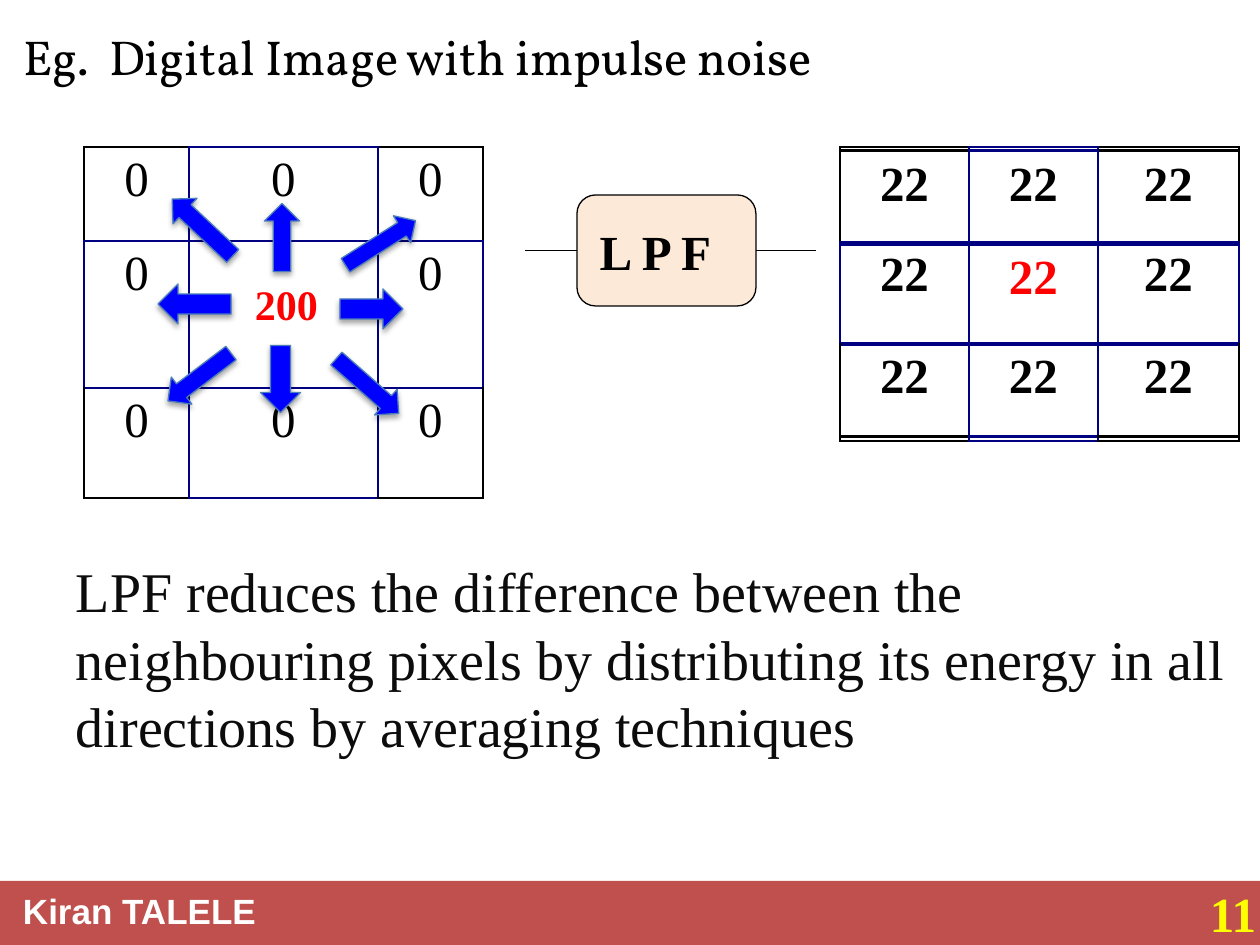
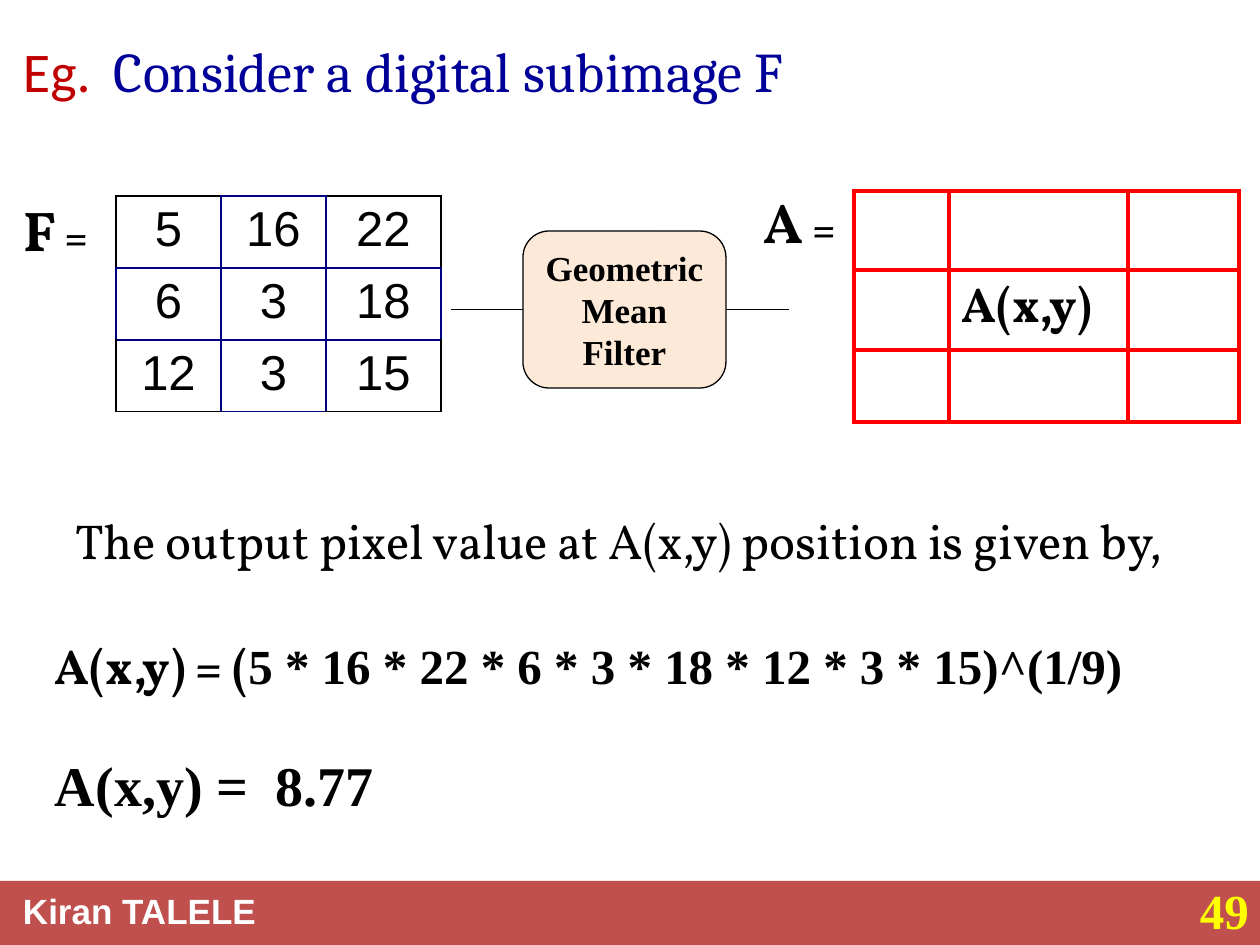
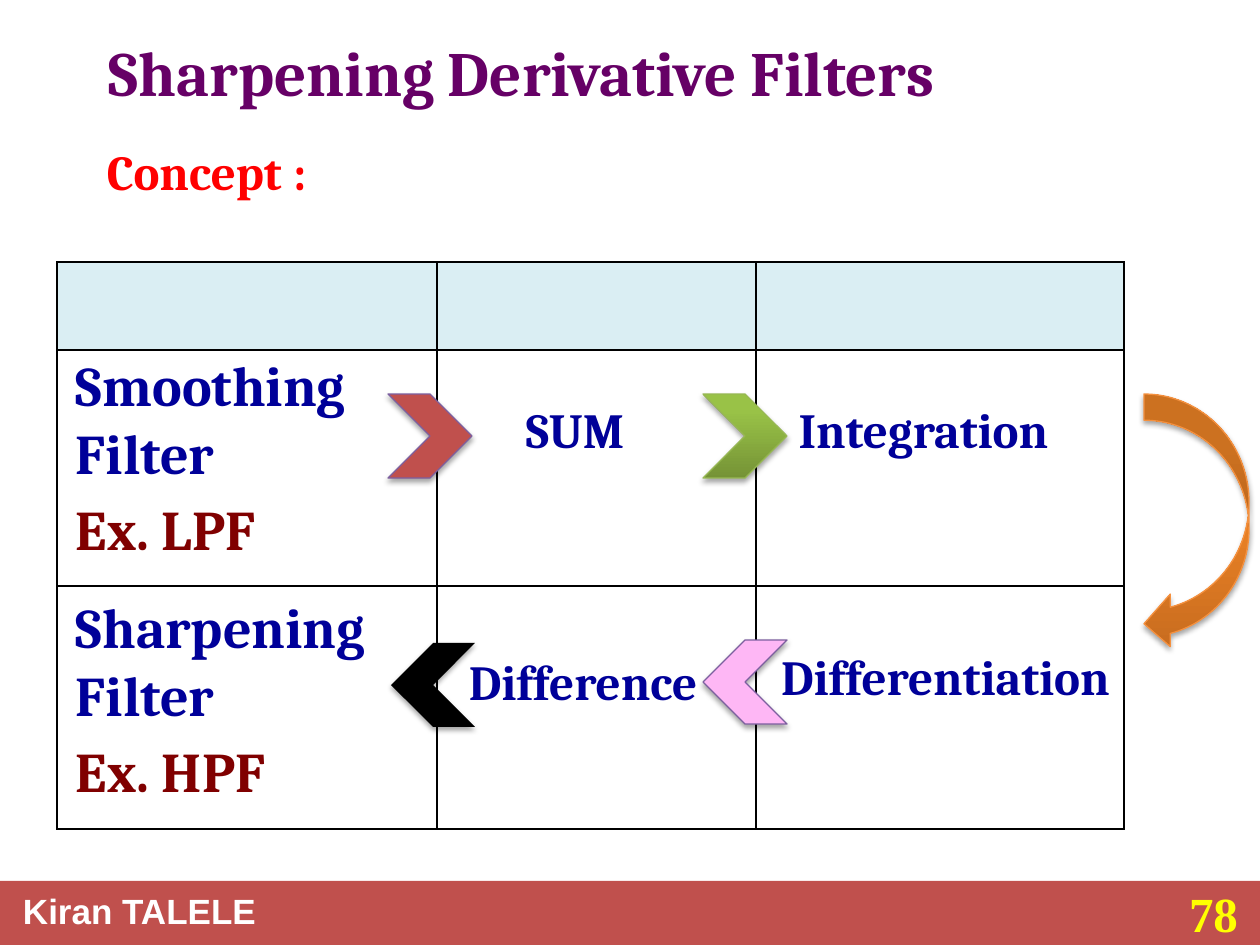
from lxml import etree
from pptx import Presentation
from pptx.dml.color import RGBColor
from pptx.enum.shapes import MSO_CONNECTOR, MSO_SHAPE as Preset
from pptx.enum.text import MSO_ANCHOR as Anchor, PP_ALIGN as Align
from pptx.oxml.ns import qn
from pptx.util import Emu, Pt

EMU_PER_PX = 914400 / 126
PAGE_WIDTH, PAGE_HEIGHT = 1260, 945

BLACK = RGBColor(0x00, 0x00, 0x00)
WHITE = RGBColor(0xFF, 0xFF, 0xFF)
INK = RGBColor(0x0C, 0x0C, 0x0C)
BRICK = RGBColor(0xC0, 0x50, 0x4D)
YELLOW = RGBColor(0xFF, 0xFF, 0x00)
RED = RGBColor(0xFF, 0x00, 0x00)
DARK_RED = RGBColor(0xC0, 0x00, 0x00)
MAROON = RGBColor(0x80, 0x00, 0x00)
NAVY = RGBColor(0x00, 0x00, 0x80)
BLUE = RGBColor(0x00, 0x00, 0xFF)
TEXT_BLUE = RGBColor(0x00, 0x00, 0x99)
PURPLE = RGBColor(0x66, 0x00, 0x66)
PEACH = RGBColor(0xFD, 0xE9, 0xD8)
PALE_BLUE = RGBColor(0xDA, 0xEE, 0xF3)
PINK = RGBColor(0xFE, 0xB7, 0xF5)
ARROW_EDGE = RGBColor(0x4A, 0x7D, 0xBA)
CHEVRON_EDGE = RGBColor(0x7C, 0x5F, 0x9F)
GREEN_EDGE = RGBColor(0x97, 0xB8, 0x53)
GREENS = (RGBColor(0x75, 0x93, 0x36), RGBColor(0x99, 0xC2, 0x47))
ORANGE_EDGE = RGBColor(0xF5, 0x91, 0x3F)
ORANGES = (RGBColor(0xC8, 0x6C, 0x1F), RGBColor(0xFF, 0x8E, 0x29))

TIMES, ARIAL, CAMBRIA = "Times New Roman", "Arial", "Cambria"
CALIBRI, VOLLKORN = "Calibri", "Vollkorn"
INSETS = (13, 6, 13, 6)


def px(length):
    return Emu(round(length * EMU_PER_PX))


def place(box):
    return [px(length) for length in box]


def shift(box, origin):
    """Move a box given relative to origin onto the page."""
    return (origin[0] + box[0], origin[1] + box[1], *box[2:])


def face(name, size, color, bold=False):
    return {"name": name, "size": Pt(size), "color": color, "bold": bold}


def style(font, values):
    for key, value in values.items():
        if key == "color":
            font.color.rgb = value
        else:
            setattr(font, key, value)


def add_tab(para, stop):
    tabs = etree.SubElement(para._p.get_or_add_pPr(), qn("a:tabLst"))
    etree.SubElement(tabs, qn("a:tab"), pos=str(px(stop)), algn="l")


def write(frame, lines, align=Align.LEFT, anchor=Anchor.TOP, insets=INSETS,
          tab=None, gap=0):
    """Fill a frame; each line is a list of (text, format) spans."""
    frame.word_wrap = True
    frame.vertical_anchor = anchor
    for side, inset in zip(("left", "top", "right", "bottom"), insets):
        setattr(frame, f"margin_{side}", px(inset))
    for index, spans in enumerate(lines):
        para = frame.paragraphs[0] if index == 0 else frame.add_paragraph()
        para.alignment = align
        if index:
            para.space_before = Pt(gap)
        if tab:
            add_tab(para, tab)
        for words, values in spans:
            span = para.add_run()
            span.text = words
            style(span.font, values)


def add_text(page, box, lines, **layout):
    write(page.shapes.add_textbox(*place(box)).text_frame, lines, **layout)


def add_shape(page, preset, box, fill, edge=None, rotation=0, shadow=False):
    """Add a preset shape; a pair of fills makes a gradient from the bottom up."""
    shape = page.shapes.add_shape(preset, *place(box))
    shape.rotation = rotation
    shape.shadow.inherit = False
    if isinstance(fill, RGBColor):
        shape.fill.solid()
        shape.fill.fore_color.rgb = fill
    else:
        shape.fill.gradient()
        shape.fill.gradient_angle = 90
        for stop, color, position in zip(shape.fill.gradient_stops, fill, (0, 0.8)):
            stop.color.rgb = color
            stop.position = position
    if edge is None:
        shape.line.fill.background()
    else:
        shape.line.color.rgb = edge
        shape.line.width = Pt(0.75)
    if shadow:
        effects = shape._element.spPr.find(qn("a:effectLst"))
        outer = etree.SubElement(effects, qn("a:outerShdw"), blurRad=str(Pt(3.1)),
                                 dist=str(Pt(1.8)), dir="5400000", rotWithShape="0")
        color = etree.SubElement(outer, qn("a:srgbClr"), val=str(BLACK))
        etree.SubElement(color, qn("a:alpha"), val="35000")
    return shape


def set_borders(cell, colors, width):
    """Draw the left, right, top and bottom borders in that order."""
    properties = cell._tc.get_or_add_tcPr()
    for index, (side, color) in enumerate(zip("LRTB", colors)):
        line = etree.Element(qn(f"a:ln{side}"), w=str(Pt(width)))
        fill = etree.SubElement(line, qn("a:solidFill"))
        etree.SubElement(fill, qn("a:srgbClr"), val=str(color))
        properties.insert(index, line)


def add_grid(page, corner, widths, heights, texts=None, values=None, align=Align.CENTER,
             inner=NAVY, corner_color=BLACK, weight=1, header=None):
    """Add a table whose corner cells take corner_color on their outer sides."""
    box = (*corner, sum(widths), sum(heights))
    table = page.shapes.add_table(len(heights), len(widths), *place(box)).table
    table.first_row = table.horz_banding = False
    for column, width in zip(table.columns, widths):
        column.width = px(width)
    last_row, last_column = len(heights) - 1, len(widths) - 1
    for i, height in enumerate(heights):
        table.rows[i].height = px(height)
        for j in range(len(widths)):
            cell = table.cell(i, j)
            if header and i == 0:
                cell.fill.solid()
                cell.fill.fore_color.rgb = header
            else:
                cell.fill.background()
            is_corner = i in (0, last_row) and j in (0, last_column)
            outer = (j == 0, j == last_column, i == 0, i == last_row)
            set_borders(cell, [corner_color if is_corner and side else inner
                               for side in outer], weight)
            if texts and texts[i][j]:
                para = cell.text_frame.paragraphs[0]
                para.alignment = align
                span = para.add_run()
                span.text = texts[i][j]
                style(span.font, values)


def add_filter(page, box, reaches, lines, values, sides):
    """Add a filter block with a line of the given reach on either side."""
    block = add_shape(page, Preset.ROUNDED_RECTANGLE, box, PEACH, BLACK)
    write(block.text_frame, [[(line, values)] for line in lines], Align.CENTER,
          Anchor.MIDDLE, (sides[0], 6, sides[1], 6))
    left, top, width, height = box
    middle = top + height / 2
    for site, start, end in ((1, left, left - reaches[0]),
                             (3, left + width, left + width + reaches[1])):
        line = page.shapes.add_connector(MSO_CONNECTOR.STRAIGHT,
                                         *place((start, middle, end, middle)))
        line.begin_connect(block, site)
        line.line.color.rgb = BLACK
        line.line.width = Pt(0.75)
        etree.SubElement(line._element.spPr, qn("a:effectLst"))


def add_footer(page, number, left, top=878):
    add_shape(page, Preset.RECTANGLE, (0, 881, PAGE_WIDTH, 64), BRICK)
    add_text(page, (10, 883, 265, 56), [[("Kiran TALELE", face(ARIAL, 20, WHITE, True))]])
    add_text(page, (left, top, PAGE_WIDTH - left, PAGE_HEIGHT - top),
             [[(number, face(TIMES, 28, YELLOW, True))]], insets=(13, 6, 0, 6))


def add_noisy_image(page, corner):
    """Add the noisy pixels with arrows spreading the impulse outwards."""
    add_grid(page, corner, (105, 189, 105), (94, 147, 110),
             ("000", ("0", "", "0"), "000"), face(TIMES, 28, BLACK))
    add_text(page, shift((158, 126, 89, 64), corner),
             [[("200", face(TIMES, 24, RED, True))]],
             align=Align.CENTER, insets=(0, 6, 0, 6))
    for box, rotation in (
        ((256, 142, 63, 40), 0),
        ((74, 137, 73, 40), 180),
        ((163, 212, 67, 40), 90),
        ((76, 213, 79, 34), 142.8),
        ((255, 80, 83, 32), 327.5),
        ((77, 63, 83, 35), 223.2),
        ((164, 73, 68, 35), 270),
        ((242, 222, 83, 34), 41.3),
    ):
        add_shape(page, Preset.RIGHT_ARROW, shift(box, corner), BLUE, ARROW_EDGE,
                  rotation, shadow=True)


def add_smoothed_image(page, corner):
    """Layer three grids: centre pixel, top row, then the remaining pixels."""
    left, top = corner
    blank, full = ("", "", ""), ("22", "22", "22")
    uneven = (92, 102, 92)
    for drop, heights, texts, color in (
        (0, (98, 98, 98), (blank, ("", "22", ""), blank), RED),
        (4, uneven, (full, blank, blank), BLACK),
        (3, uneven, (blank, ("22", "", "22"), full), BLACK),
    ):
        add_grid(page, (left, top + drop), (129, 129, 141), heights, texts,
                 face(TIMES, 28, color, True))


def build_impulse_slide(page):
    add_filter(page, (577, 195, 179, 111), (52, 60), ["L P F"],
               face(TIMES, 28, BLACK, True), (13, 35))
    add_noisy_image(page, (84, 147))
    add_smoothed_image(page, (840, 147))
    add_footer(page, "11", 1197)
    add_text(page, (10, 21, 1176, 100),
             [[("Eg.\tDigital Image with impulse noise", face(VOLLKORN, 28, BLACK))]],
             tab=86)
    add_text(page, (63, 551, 1197, 217),
             [[("LPF reduces the difference between the neighbouring pixels by "
                "distributing its energy in all directions by averaging techniques",
                face(TIMES, 32, INK))]])


def build_geometric_slide(page):
    add_footer(page, "49", 1187, 874)
    add_text(page, (10, 21, 1134, 98),
             [[("Eg.\t", face(CALIBRI, 32, DARK_RED)),
               ("Consider a digital subimage F", face(CAMBRIA, 32, TEXT_BLUE))]],
             anchor=Anchor.MIDDLE, tab=91)
    add_grid(page, (116, 196), (105, 105, 115), (72, 72, 71),
             (("5", "16", "22"), ("6", "3", "18"), ("12", "3", "15")),
             face(ARIAL, 28, BLACK))
    for name, box in (("F", (10, 189, 95, 80)), ("A", (751, 181, 335, 80))):
        add_text(page, box, [[(name, face(VOLLKORN, 32, BLACK, True)),
                              (" =", face(VOLLKORN, 24, BLACK, True))]])
    bold_vollkorn = face(VOLLKORN, 28, BLACK, True)
    add_grid(page, (854, 191), (95, 179, 111), (79, 80, 72),
             (("", "", ""), ("", "A(x,y)", ""), ("", "", "")), bold_vollkorn,
             Align.LEFT, RED, RED, 3)
    add_filter(page, (523, 231, 203, 157), (72, 63), ["Geometric", "Mean", "Filter"],
               face(TIMES, 20, BLACK, True), (13, 13))
    add_text(page, (42, 630, 1197, 199),
             [[("A(x,y) = (", bold_vollkorn),
               ("5 * 16 * 22 * 6 * 3 * 18 * 12 * 3 * 15)^(1/9)",
                face(TIMES, 28, BLACK, True))],
              [("A(x,y) =\t8.77", face(TIMES, 32, BLACK, True))]], tab=221, gap=32)
    add_text(page, (63, 504, 1197, 97),
             [[("The output pixel value at A(x,y) position is given by,",
                face(VOLLKORN, 28, BLACK))]])


def add_filter_row(page, top, name, example):
    """Name a filter and its example in the first column."""
    heading = face(CAMBRIA, 32, TEXT_BLUE, True)
    add_text(page, (63, top, 336, 110), [[(name, heading)], [("Filter", heading)]],
             anchor=Anchor.MIDDLE)
    add_text(page, (63, top + 126, 242, 78),
             [[(example, face(CAMBRIA, 32, MAROON, True))]], anchor=Anchor.MIDDLE)


def build_sharpening_slide(page):
    for words, box, values, indent in (
        ("Sharpening Derivative Filters", (42, 16, 1134, 110),
         face(CAMBRIA, 36, PURPLE, True), 67),
        ("Concept :", (73, 116, 756, 110), face(CAMBRIA, 28, RED, True), 34),
    ):
        add_text(page, box, [[(words, values)]], anchor=Anchor.MIDDLE,
                 insets=(indent, 6, 13, 6))
    add_grid(page, (57, 262), (380, 319, 368), (88, 236, 243), inner=BLACK,
             header=PALE_BLUE)
    add_footer(page, "78", 1176)
    for left, top, fill, edge, rotation in (
        (388, 394, BRICK, CHEVRON_EDGE, 0),
        (703, 394, GREENS, GREEN_EDGE, 0),
        (703, 640, PINK, CHEVRON_EDGE, 180),
        (391, 643, BLACK, None, 180),
    ):
        add_shape(page, Preset.CHEVRON, (left, top, 84, 84), fill, edge, rotation,
                  shadow=True)
    add_filter_row(page, 363, "Smoothing", "Ex. LPF")
    add_filter_row(page, 605, "Sharpening", "Ex. HPF")
    for words, box, align, indent in (
        ("SUM", (483, 374, 179, 110), Align.LEFT, 43),
        ("Integration", (766, 374, 315, 110), Align.CENTER, 13),
        ("Differentiation", (746, 621, 399, 110), Align.CENTER, 13),
        ("Difference", (441, 626, 284, 110), Align.CENTER, 13),
    ):
        add_text(page, box, [[(words, face(CAMBRIA, 28, TEXT_BLUE, True))]], align=align,
                 anchor=Anchor.MIDDLE, insets=(indent, 6, 13, 6))
    add_shape(page, Preset.CURVED_LEFT_ARROW, (1144, 394, 105, 256), ORANGES,
              ORANGE_EDGE, shadow=True)


def main():
    deck = Presentation()
    deck.slide_width, deck.slide_height = px(PAGE_WIDTH), px(PAGE_HEIGHT)
    blank = deck.slide_layouts[6]
    for build in (build_impulse_slide, build_geometric_slide, build_sharpening_slide):
        build(deck.slides.add_slide(blank))
    deck.save("out.pptx")


if __name__ == "__main__":
    main()
